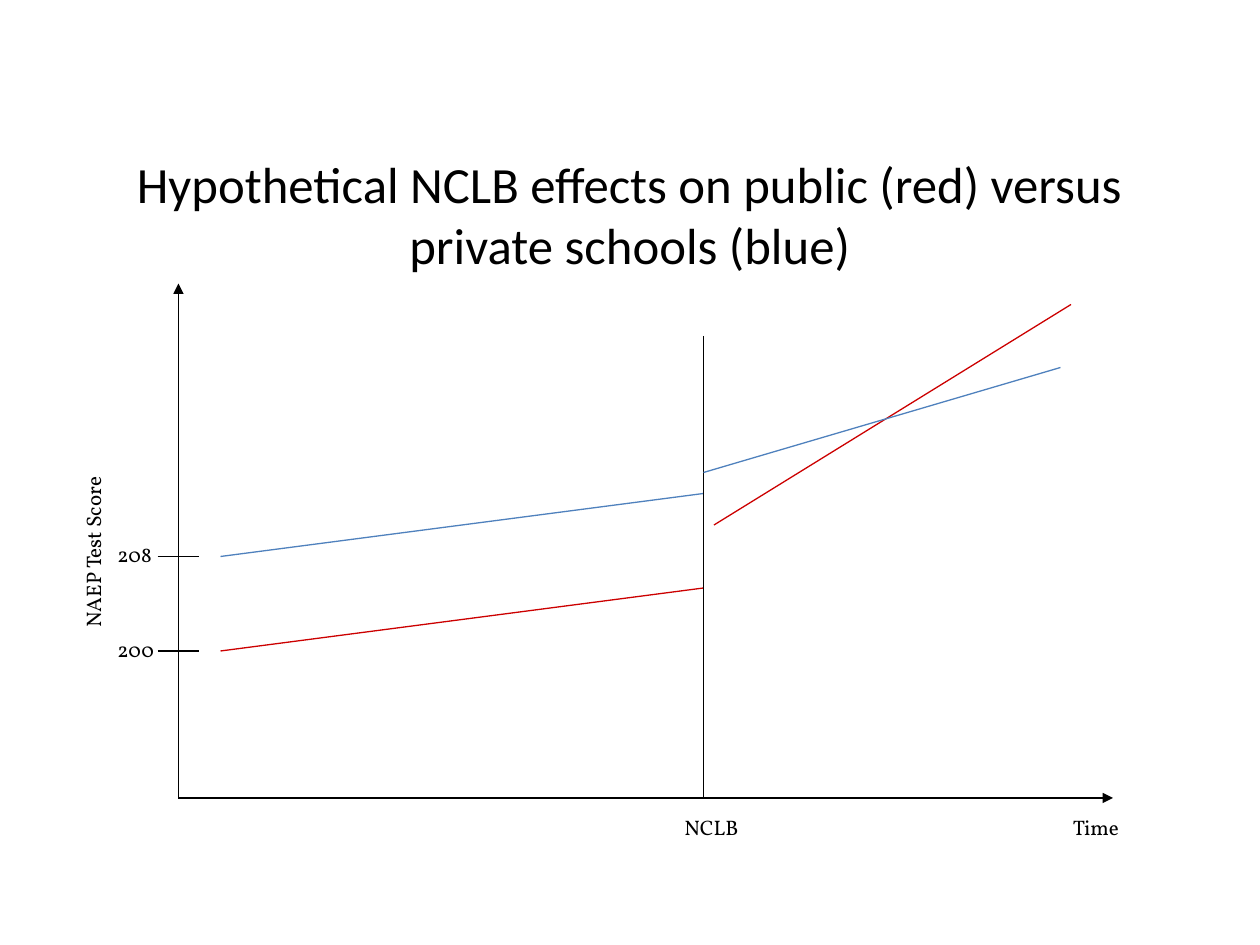
from lxml.etree import SubElement
from pptx import Presentation
from pptx.dml.color import RGBColor
from pptx.enum.shapes import MSO_CONNECTOR
from pptx.enum.text import MSO_ANCHOR, MSO_AUTO_SIZE, PP_ALIGN
from pptx.oxml.ns import qn
from pptx.util import Pt

BLACK, PUBLIC_RED, PRIVATE_BLUE = "000000", "CC0000", "4F81BD"

# Plot geometry in points
AXIS_X, AXIS_Y = 102, 456
NCLB_X = 402
SCORE_HEIGHTS = {"208": 318, "200": 372}
TICK_HALF = 12
LABEL_HEIGHT = 21.6


def color(hex_string):
    return RGBColor.from_string(hex_string)


def style_font(paragraph, name, size):
    paragraph.font.name = name
    paragraph.font.size = Pt(size)
    paragraph.font.color.rgb = color(BLACK)


def add_title(slide, text):
    title = slide.shapes.title
    title.left, title.top, title.width, title.height = Pt(36), Pt(84), Pt(648), Pt(76.5)
    frame = title.text_frame
    frame.text = text
    frame.word_wrap = True
    frame.auto_size = MSO_AUTO_SIZE.NONE
    frame.vertical_anchor = MSO_ANCHOR.MIDDLE
    paragraph = frame.paragraphs[0]
    paragraph.alignment = PP_ALIGN.CENTER
    style_font(paragraph, "Calibri", 29)


def add_line(slide, start, end, line_color=BLACK, arrow=False):
    connector = slide.shapes.add_connector(
        MSO_CONNECTOR.STRAIGHT, *(Pt(value) for value in (*start, *end)))
    connector.line.color.rgb = color(line_color)
    connector.line.width = Pt(0.75)
    properties = connector._element.spPr
    if arrow:
        SubElement(properties.find(qn("a:ln")), qn("a:tailEnd"), type="triangle")
    SubElement(properties, qn("a:effectLst"))


def add_label(slide, text, left, top, width, rotation=0):
    label = slide.shapes.add_textbox(Pt(left), Pt(top), Pt(width), Pt(LABEL_HEIGHT))
    label.rotation = rotation
    frame = label.text_frame
    frame.text = text
    frame.word_wrap = True
    frame.auto_size = MSO_AUTO_SIZE.SHAPE_TO_FIT_TEXT
    style_font(frame.paragraphs[0], "Vollkorn", 12)


def main():
    presentation = Presentation()
    presentation.slide_width, presentation.slide_height = Pt(720), Pt(540)
    slide = presentation.slides.add_slide(presentation.slide_layouts[5])
    add_title(slide, "Hypothetical NCLB effects on public (red) versus private schools (blue)")

    # Axes
    add_line(slide, (AXIS_X, AXIS_Y), (AXIS_X, 162), arrow=True)
    add_line(slide, (AXIS_X, AXIS_Y), (636, AXIS_Y), arrow=True)

    # Trends before and after NCLB, with the divider between them
    add_line(slide, (126, SCORE_HEIGHTS["208"]), (NCLB_X, 282), PRIVATE_BLUE)
    add_line(slide, (126, SCORE_HEIGHTS["200"]), (NCLB_X, 336), PUBLIC_RED)
    add_line(slide, (NCLB_X, 192), (NCLB_X, AXIS_Y))
    add_line(slide, (408, 300), (612, 174), PUBLIC_RED)
    add_line(slide, (NCLB_X, 270), (606, 210), PRIVATE_BLUE)

    # Score ticks and their labels
    for score, height in SCORE_HEIGHTS.items():
        add_line(slide, (AXIS_X - TICK_HALF, height), (AXIS_X + TICK_HALF, height))
        add_label(slide, score, 60, height - 12, 48)

    # Axis labels
    add_label(slide, "NCLB", 384, AXIS_Y + 6, 78)
    add_label(slide, "Time", 606, AXIS_Y + 6, 72)
    add_label(slide, "NAEP Test Score", -13, 288.7, 132, rotation=270)

    presentation.save("out.pptx")


if __name__ == "__main__":
    main()
